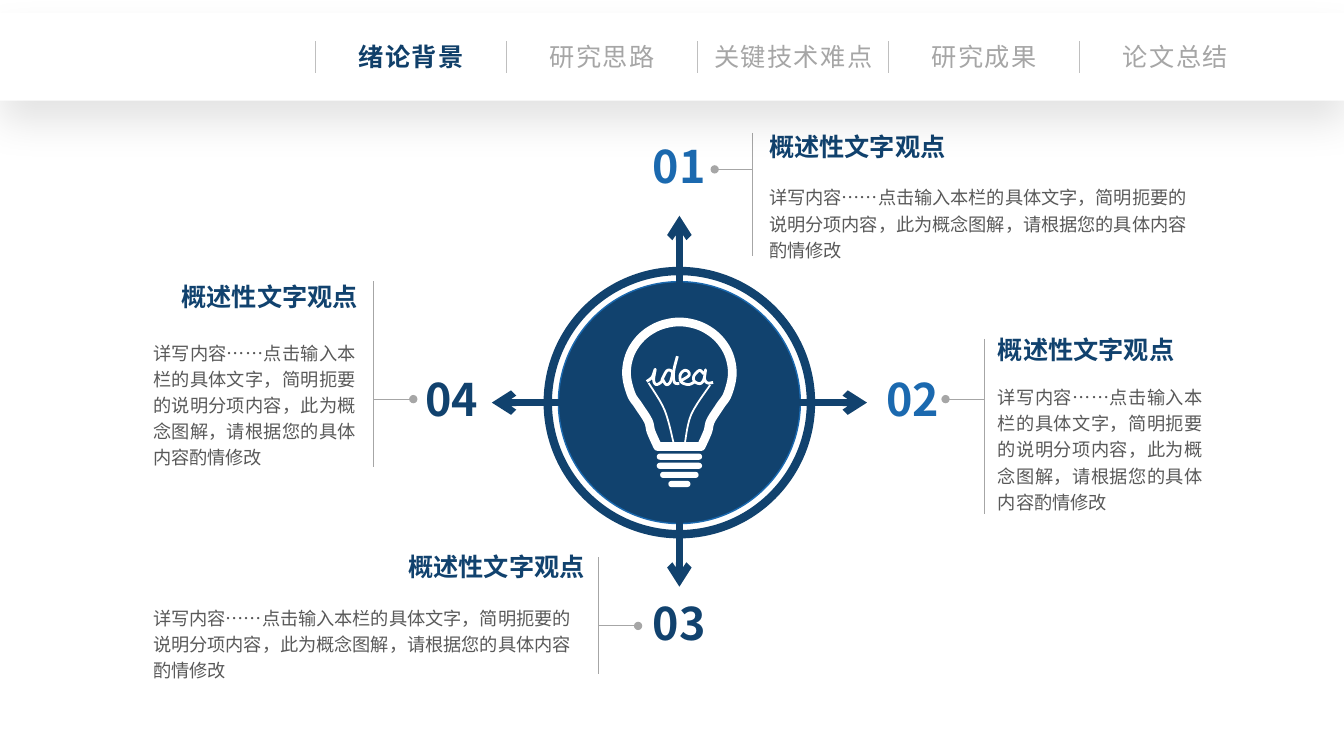
from lxml import etree
from pptx import Presentation
from pptx import util as u
from pptx.dml.color import RGBColor
from pptx.enum import shapes, text
from pptx.oxml import ns

Pt = u.Pt
FONT = "Noto Sans CJK SC"
HUE = dict(navy="11426E", blue="1B69AF", tab="103F69", body="595959",
           gray="A6A6A6", rule="BFBFBF", white="FFFFFF")
LEFT, MID, RIGHT, JUST = (text.PP_ALIGN.LEFT, text.PP_ALIGN.CENTER,
                          text.PP_ALIGN.RIGHT, text.PP_ALIGN.JUSTIFY)
TOP, HALF = text.MSO_ANCHOR.TOP, text.MSO_ANCHOR.MIDDLE
CX, CY = 485.3, 287.6
TABS = ["绪论背景", "研究思路", "关键技术难点", "研究成果", "论文总结"]
TITLE = "概述性文字观点"
BODY = ("详写内容……点击输入本栏的具体文字，简明扼要的说明分项内容，"
        "此为概念图解，请根据您的具体内容酌情修改")

# number, its colour and place; rule x, top, bottom; dot x, y;
# title box (left, top, width) and alignment; body box and alignment
NOTES = [
    ("01", "blue", (460, 101.5), (537.8, 95, 183), (510.5, 121),
     (549.4, 95, 223), LEFT, (549.4, 130.3, 309.6, 57.6), LEFT),
    ("02", "blue", (627, 267.8), (702.9, 242, 367.2), (675.4, 285.1),
     (712.8, 240.5, 146.2), LEFT, (712.8, 272.9, 146.2, 95.8), JUST),
    ("03", "navy", (460, 427.7), (427.7, 398.2, 481.7), (455.8, 447.1),
     (271.4, 395.3, 146.2), RIGHT, (109.4, 430.6, 306, 57.6), LEFT),
    ("04", "navy", (297.4, 267.8), (267.1, 200.9, 333.4), (295.2, 285.1),
     (109.4, 202.3, 146.2), RIGHT, (109.4, 241.2, 144.7, 95.8), JUST),
]

# Points are offsets from the bulb's axis, and heights on the slide
SIDE = [(0, 230), (14.5, 232.8), (26.7, 240.6), (35, 252.5), (37.8, 267),
        (34.5, 281.5), (29.2, 289.8), (22.3, 300.6), (20.2, 308.5), (15.5, 319)]
WIRES = [[(-22, 273.5), (-10.5, 293), (-4.2, 316)],
         [(22, 275), (8.5, 296), (4, 316)]]
SCRIPT = [
    [(-23.4, 272.5), (-19.4, 269.3), (-17.3, 263.8), (-18.4, 271.4),
     (-16.6, 274.7), (-13, 272.9), (-11.9, 270), (-8.6, 264.6), (-5, 266),
     (-6.5, 272.9), (-9.4, 274.7), (-12, 271)],
    [(-1.4, 254.4), (-4, 265), (-3.6, 273), (0, 274)],
    [(0, 272.5), (6.5, 268.6), (6.5, 265.7), (3.6, 264.6), (0.6, 267.8),
     (1.4, 272.9), (6.5, 274.7), (10.8, 272.9)],
    [(17.3, 267), (14.4, 264.6), (10.4, 268.6), (10.8, 272.5), (15, 274),
     (17.6, 270.7), (18.7, 264.2), (18, 270.7), (20.2, 273.6), (24.1, 273.2)],
]


def tint(name):
    return RGBColor.from_string(HUE[name])


def add(node, tag, **attrs):
    return etree.SubElement(node, ns.qn(tag), attrs)


def paint(shape, fill=None, line=None, width=1):
    shape.shadow.inherit = False
    if fill:
        shape.fill.solid()
        shape.fill.fore_color.rgb = tint(fill)
    else:
        shape.fill.background()
    if line:
        shape.line.color.rgb = tint(line)
        shape.line.width = Pt(width)
    else:
        shape.line.fill.background()


def form(slide, kind, box, **look):
    shape = slide.shapes.add_shape(kind, *map(Pt, box))
    paint(shape, **look)
    return shape


def stroke(slide, start, end, hue, width, tip=None):
    """Draw a straight line; tip is (headEnd or tailEnd, arrowhead type)."""
    line = slide.shapes.add_connector(
        shapes.MSO_CONNECTOR.STRAIGHT, *map(Pt, (*start, *end)))
    line.line.color.rgb = tint(hue)
    line.line.width = Pt(width)
    if tip:
        add(line.line._get_or_add_ln(), "a:" + tip[0], type=tip[1])
    add(line._element.spPr, "a:effectLst")


def write(slide, words, box, size, hue, bold=False, align=LEFT, anchor=TOP,
          lead=None, gap=None, wrap=True):
    """Add a text box; lead is line spacing, gap is letter spacing in points."""
    frame = slide.shapes.add_textbox(*map(Pt, box)).text_frame
    frame.margin_left = frame.margin_right = 0
    frame.margin_top = frame.margin_bottom = 0
    frame.word_wrap, frame.vertical_anchor = wrap, anchor
    para = frame.paragraphs[0]
    para.alignment = align
    if lead:
        para.line_spacing = lead
    run = para.add_run()
    run.text = words
    font = run.font
    font.size, font.bold, font.name = Pt(size), bold, FONT
    font.color.rgb = tint(hue)
    props = run._r.get_or_add_rPr()
    add(props, "a:ea", typeface=FONT)
    if gap:
        props.set("spc", str(gap * 100))


def smooth(knots, steps=6):
    """Return points of a Catmull-Rom curve through the knots."""
    ends = [knots[0], *knots, knots[-1]]
    dots = [knots[0]]
    for a, b, c, d in zip(ends, ends[1:], ends[2:], ends[3:]):
        for i in range(1, steps + 1):
            t = i / steps
            dots.append(tuple(
                (2 * q + (r - p) * t + (2 * p - 5 * q + 4 * r - s) * t ** 2
                 + (3 * q - p - 3 * r + s) * t ** 3) / 2
                for p, q, r, s in zip(a, b, c, d)))
    return dots


def curve(slide, knots, width, close=False):
    dots = [(Pt(CX + x), Pt(y)) for x, y in smooth(knots)]
    path = slide.shapes.build_freeform(*dots[0])
    path.add_line_segments(dots[1:], close=close)
    paint(path.convert_to_shape(), line="white", width=width)


def hub(slide):
    for rad, look in ((94, dict(line="navy", width=6)),
                      (86.4, dict(fill="navy", line="blue"))):
        form(slide, shapes.MSO_SHAPE.OVAL,
             (CX - rad, CY - rad, 2 * rad, 2 * rad), **look)
    for dx, dy, reach in ((0, -1, 133.5), (0, 1, 131.5), (1, 0, 134), (-1, 0, 134)):
        stroke(slide, (CX + 75 * dx, CY + 75 * dy),
               (CX + reach * dx, CY + reach * dy), "navy", 5, ("tailEnd", "arrow"))


def bulb(slide):
    curve(slide, [(-x, y) for x, y in SIDE[:0:-1]] + SIDE, 6.25, close=True)
    for wire in WIRES:
        curve(slide, wire, 1.25)
    for part in SCRIPT:
        curve(slide, part, 2)
    for i, wide in enumerate((32.4, 32.4, 27.5, 15.8)):
        bar = form(slide, shapes.MSO_SHAPE.ROUNDED_RECTANGLE,
                   (CX - wide / 2, 324 + 6.5 * i, wide, 4.4), fill="white")
        bar.adjustments[0] = 0.5


def note(slide, num, hue, spot, rule, dot, head, side, body, flow):
    x, top, end = rule
    write(slide, TITLE, (*head, 21.6), 18, "navy", bold=True, align=side,
          anchor=HALF, lead=0.9)
    write(slide, BODY, body, 13, "body", align=flow, lead=Pt(18.7))
    write(slide, num, (*spot, 50.4, 38.9), 32, hue, bold=True, align=MID,
          anchor=HALF, lead=0.9)
    stroke(slide, (x, top), (x, end), "gray", 0.75)
    stroke(slide, dot, (x, dot[1]), "gray", 0.75, ("headEnd", "oval"))


def menu(slide):
    band = form(slide, shapes.MSO_SHAPE.RECTANGLE, (0, 9.4, 960, 62.6), fill="white")
    glow = add(band._element.spPr.find(ns.qn("a:effectLst")), "a:outerShdw",
               blurRad=str(Pt(28)), dist=str(Pt(15)), dir="5400000",
               algn="t", rotWithShape="0")
    add(add(glow, "a:srgbClr", val="000000"), "a:alpha", val="11000")
    for i, name in enumerate(TABS):
        x = 225.4 + 136.45 * i
        wide = 15 + 19.1 * len(name)
        stroke(slide, (x, 29.5), (x, 51.8), "rule", 0.5)
        write(slide, name, (x + 68.4 - wide / 2, 25.9, wide, 28.8), 18,
              "gray" if i else "tab", bold=not i, align=MID, anchor=HALF,
              gap=1, wrap=False)


def main():
    deck = Presentation()
    deck.slide_width, deck.slide_height = Pt(960), Pt(540)
    slide = deck.slides.add_slide(deck.slide_layouts[6])
    hub(slide)
    for item in NOTES:
        note(slide, *item)
    bulb(slide)
    menu(slide)
    deck.save("out.pptx")


if __name__ == "__main__":
    main()
